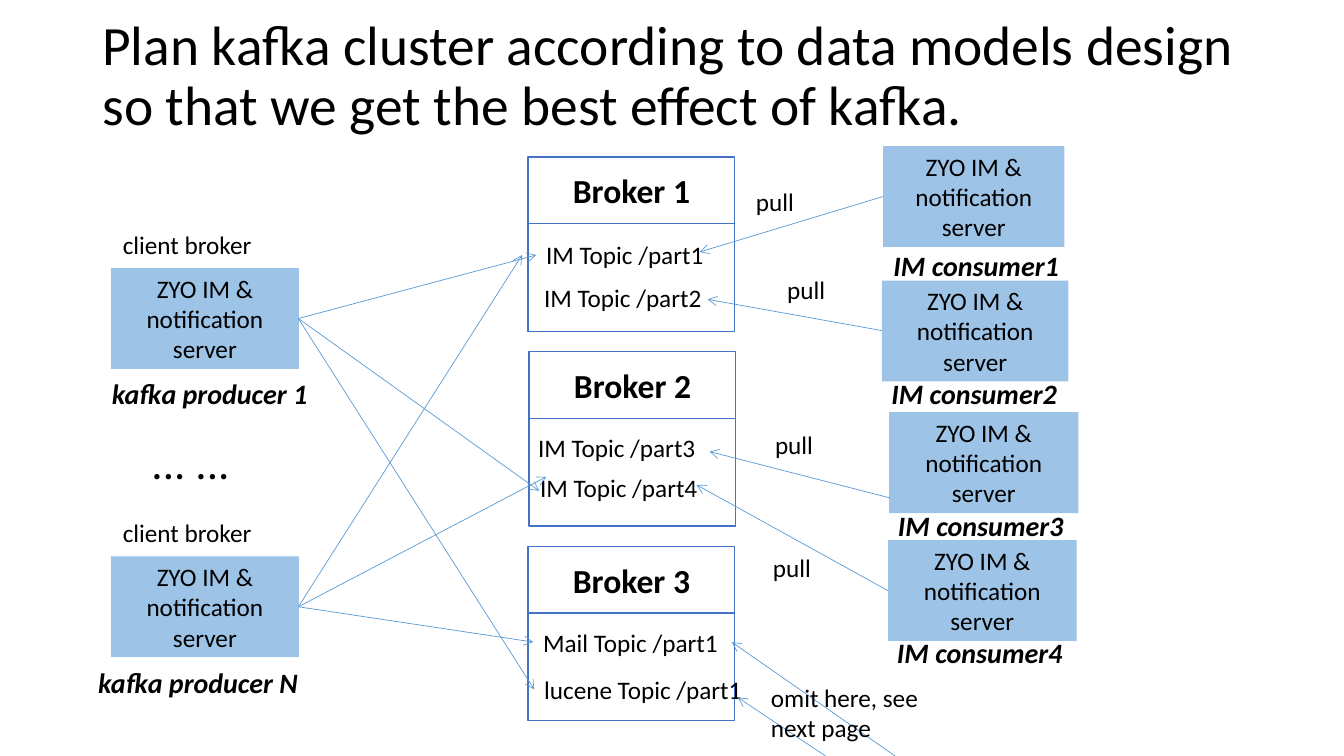
from lxml.etree import SubElement
from pptx import Presentation
from pptx.dml.color import RGBColor
from pptx.enum.shapes import MSO_CONNECTOR, MSO_SHAPE
from pptx.enum.text import MSO_ANCHOR, PP_ALIGN
from pptx.oxml.ns import qn
from pptx.util import Inches, Pt

COLS, ROWS = 80, 45


def color(value):
    return RGBColor.from_string(value)


class Board:
    font, ink, paper = "Calibri", "000000", "FFFFFF"
    server_fill, border, arrow_line = "9DC3E6", "4472C4", "5B9BD5"

    def __init__(self, prs):
        self.s = prs.slides.add_slide(prs.slide_layouts[6])
        self.col = prs.slide_width / COLS
        self.row = prs.slide_height / ROWS

    def place(self, x, y, w, h):
        return (round(x * self.col), round(y * self.row),
                round(w * self.col), round(h * self.row))

    def add_run(self, sp, text, size, bold=False, italic=False,
                align=PP_ALIGN.LEFT, anchor=MSO_ANCHOR.TOP, spacing=1.0):
        tf = sp.text_frame
        tf.word_wrap = True
        tf.vertical_anchor = anchor
        p = tf.paragraphs[0]
        p.alignment = align
        p.line_spacing = spacing
        r = p.add_run()
        r.text = text
        r.font.name, r.font.size = self.font, Pt(size)
        r.font.bold, r.font.italic = bold, italic
        r.font.color.rgb = color(self.ink)

    def text(self, x, y, w, h, text, size=18, **style):
        sp = self.s.shapes.add_textbox(*self.place(x, y, w, h))
        self.add_run(sp, text, size, **style)

    def caption(self, x, y, w, text):
        self.text(x, y, w, 2.64, text, 20, bold=True, italic=True, align=PP_ALIGN.CENTER)

    def rect(self, x, y, w, h, fill, line=None):
        sp = self.s.shapes.add_shape(MSO_SHAPE.RECTANGLE, *self.place(x, y, w, h))
        sp.shadow.inherit = False
        sp.fill.solid()
        sp.fill.fore_color.rgb = color(fill)
        if line:
            sp.line.color.rgb = color(line)
            sp.line.width = Pt(1)
        else:
            sp.line.fill.background()
        return sp

    def server(self, x, y, w):
        sp = self.rect(x, y, w, 6, self.server_fill)
        self.add_run(sp, "ZYO IM & notification server", 18, align=PP_ALIGN.CENTER)

    def broker(self, x, y, name, topics):
        head = self.rect(x, y, 12.3, 3.96, self.paper, self.border)
        self.add_run(head, name, 24, bold=True, align=PP_ALIGN.CENTER, anchor=MSO_ANCHOR.MIDDLE)
        self.rect(x, y + 3.96, 12.3, 6.42, self.paper, self.border)
        for left, top, topic in topics:
            self.text(left, top, 13.25, 2.4, topic)

    def arrow(self, start, end):
        cn = self.s.shapes.add_connector(MSO_CONNECTOR.STRAIGHT, *self.place(*start, *end))
        cn.line.color.rgb = color(self.arrow_line)
        cn.line.width = Pt(0.5)
        sp_pr = cn._element.spPr
        SubElement(sp_pr.find(qn("a:ln")), qn("a:tailEnd"), type="arrow")
        SubElement(sp_pr, qn("a:effectLst"))


prs = Presentation()
prs.slide_width, prs.slide_height = Inches(13.33), Inches(7.5)
board = Board(prs)

board.text(5.5, 0.25, 69, 8.7,
           "Plan kafka cluster according to data models design "
           "so that we get the best effect of kafka.",
           39.6, anchor=MSO_ANCHOR.MIDDLE, spacing=0.9)

brokers = [
    (31.44, [(31.92, 13.98, "IM Topic /part1"), (31.8, 16.5, "IM Topic /part2")]),
    (31.5, [(31.44, 25.44, "IM Topic /part3"), (31.56, 27.84, "IM Topic /part4")]),
    (31.44, [(31.74, 37.02, "Mail Topic /part1"), (31.8, 39.84, "lucene Topic /part1")]),
]
for i, (x, topics) in enumerate(brokers):
    board.broker(x, 9.36 + 11.58 * i, f"Broker {i + 1}", topics)

producers = [
    (15.96, 5.82, 13.32, "1", [(31.92, 15.18), (32.1, 29.22), (31.8, 41.04)]),
    (33.12, 4.56, 14.46, "N", [(31.08, 15.18), (32.52, 28.38), (31.74, 38.22)]),
]
for y, left, width, number, targets in producers:
    board.server(6.6, y, 11.2)
    board.text(6.72, y - 2.62, 9.66, 2.4, "client broker")
    board.caption(left, y + 6.18, width, f"kafka producer {number}")
    for target in targets:
        board.arrow((17.76, y + 3), target)
board.text(8.1, 25.56, 6.48, 3.84, "... ...", 32, align=PP_ALIGN.CENTER)

consumers = [
    (52.56, 8.7, 10.8, 14.52, 12.9),
    (52.5, 16.7, 11.1, 22.14, 12.66),
    (52.92, 24.54, 11.28, 30, 13.44),
    (52.86, 32.16, 11.22, 37.56, 13.32),
]
for i, (x, y, w, caption_y, caption_w) in enumerate(consumers, 1):
    board.server(x, y, w)
    board.caption(51.66, caption_y, caption_w, f"IM consumer{i}")

pulls = [
    ((52.56, 11.7), (41.64, 15), (44.4, 10.8)),
    ((52.5, 19.68), (42.12, 17.82), (46.26, 16.02)),
    ((52.98, 29.64), (42.24, 26.88), (45.54, 25.26)),
    ((52.86, 35.16), (41.46, 28.86), (45.42, 32.58)),
]
for start, end, label in pulls:
    board.arrow(start, end)
    board.text(*label, 6.06, 2.4, "pull")

for start, end in [((53.28, ROWS), (43.56, 38.22)), ((49.14, ROWS), (43.92, 41.52))]:
    board.arrow(start, end)
board.text(45.3, 40.32, 11.4, 4.2, "omit here, see next page")

prs.save("out.pptx")
